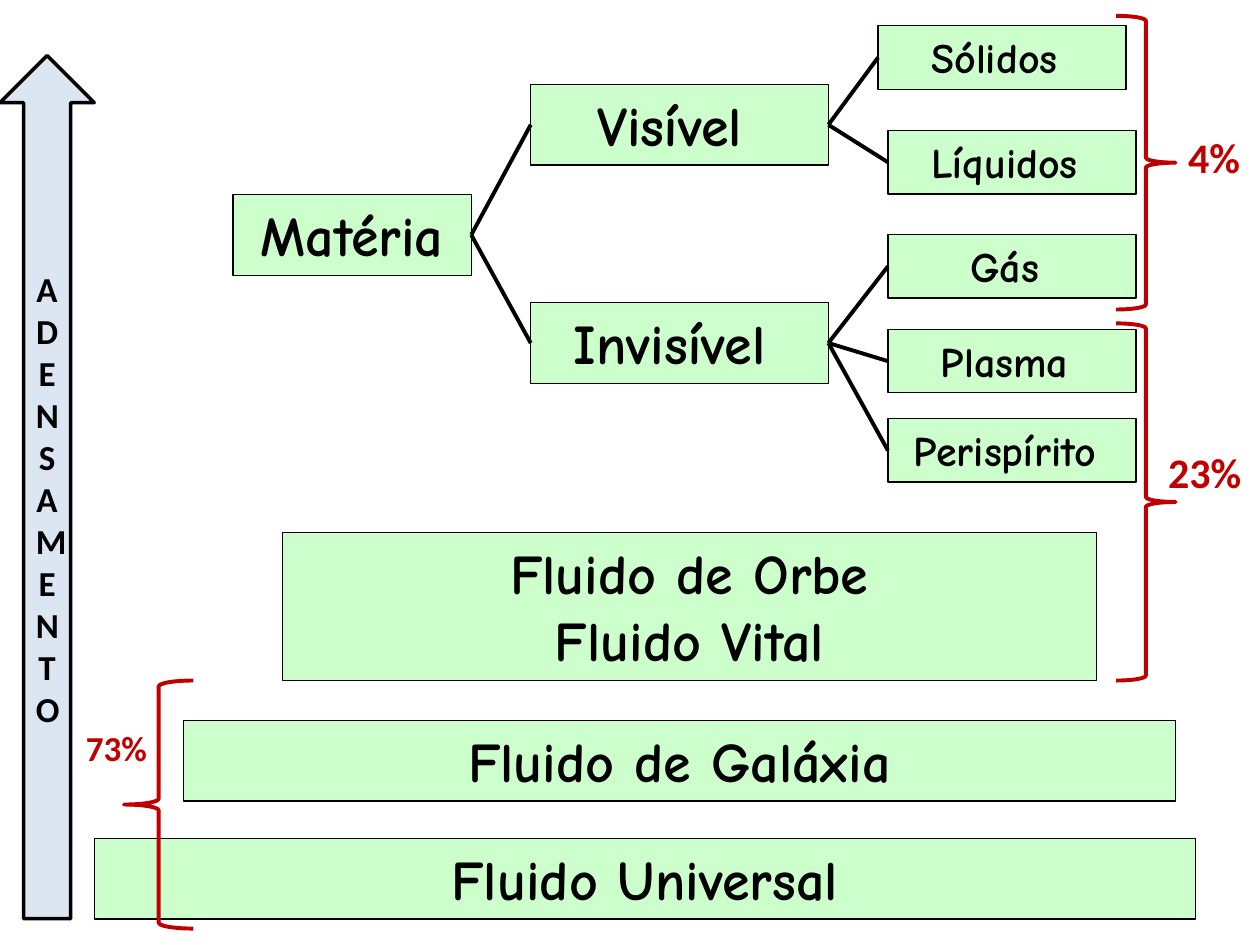
import pptx
import pptx.util
import pptx.dml.color
import pptx.enum.shapes
import pptx.enum.text
import pptx.oxml

Cm, Pt = pptx.util.Cm, pptx.util.Pt
SHAPE = pptx.enum.shapes.MSO_SHAPE
ALIGN = pptx.enum.text.PP_ALIGN
ANCHOR = pptx.enum.text.MSO_ANCHOR

# Content: lengths in centimetres
COLORS = {"box": "CCFFCC", "ink": "000000", "share": "C00000", "arrow": "DCE6F2"}
BAR, LEAF = 1.63, 1.28  # box heights
LAYERS = [  # lines, left, top, width, height
    (["Fluido Universal"], 1.9, 16.9, 22.2, BAR),
    (["Fluido de Galáxia"], 3.7, 14.52, 20, BAR),
    (["Fluido de Orbe", "Fluido Vital"], 5.7, 10.73, 16.4, 2.99),
]
TREE = [  # label, parent, left, top, width, height, text size
    ("Matéria", None, 4.7, 3.92, 4.8, BAR, 32),
    ("Visível ", "Matéria", 10.7, 1.7, 6, BAR, 32),
    ("Invisível ", "Matéria", 10.7, 6.1, 6, BAR, 32),
    ("Sólidos ", "Visível ", 17.7, 0.52, 5, LEAF, 24),
    ("Líquidos ", "Visível ", 17.9, 2.63, 5, LEAF, 24),
    ("Gás ", "Invisível ", 17.9, 4.73, 5, LEAF, 24),
    ("Plasma ", "Invisível ", 17.9, 6.64, 5, LEAF, 24),
    ("Perispírito ", "Invisível ", 17.9, 8.44, 5, LEAF, 24),
]
SHARES = [  # label, size, alignment, label place, brace, brace place
    ("4%", 24, ALIGN.LEFT, (23.7, 2.52, 1.7, 1.28),
     SHAPE.RIGHT_BRACE, (22.5, 0.32, 1.2, 5.92)),
    ("23%", 24, ALIGN.LEFT, (23.3, 8.88, 2.1, 1.85),
     SHAPE.RIGHT_BRACE, (22.5, 6.52, 1.2, 7.2)),
    ("73%", 20, ALIGN.CENTER, (1.3, 14.52, 2.1, 1.12),
     SHAPE.LEFT_BRACE, (2.5, 13.72, 1.4, 5)),
]
ARROW_WORD, ARROW_PLACE = "ADENSAMENTO", (0, 1.12, 1.9, 17.4)


def rgb(name):
    return pptx.dml.color.RGBColor.from_string(COLORS[name])


def set_line(item, color, width):
    item.line.color.rgb = rgb(color)
    item.line.width = Pt(width)


def write(box, lines, size, font="Comic Neue", color="ink",
          align=ALIGN.CENTER, anchor=ANCHOR.TOP):
    frame = box.text_frame
    frame.word_wrap = True
    frame.vertical_anchor = anchor
    for number, line in enumerate(lines):
        para = frame.add_paragraph() if number else frame.paragraphs[0]
        para.alignment = align
        span = para.add_run()
        span.text = line
        for key, value in {"name": font, "size": Pt(size), "bold": True}.items():
            setattr(span.font, key, value)
        span.font.color.rgb = rgb(color)


def add_shape(page, kind, place, fill, line, width):
    shape = page.shapes.add_shape(kind, *map(Cm, place))
    shape.shadow.inherit = False
    if fill:
        shape.fill.solid()
        shape.fill.fore_color.rgb = rgb(fill)
    else:
        shape.fill.background()
    set_line(shape, line, width)
    return shape


def add_box(page, lines, place, size):
    box = add_shape(page, SHAPE.RECTANGLE, place, "box", "ink", 0.75)
    write(box, lines, size)
    return box


def add_branch(page, child, parent):
    branch = page.shapes.add_connector(
        pptx.enum.shapes.MSO_CONNECTOR.STRAIGHT,
        child.left, child.top + child.height // 2,
        parent.left + parent.width, parent.top + parent.height // 2)
    set_line(branch, "ink", 2.25)
    properties = branch.element.spPr
    properties.append(pptx.oxml.parse_xml(
        '<a:effectLst xmlns:a='
        '"http://schemas.openxmlformats.org/drawingml/2006/main"/>'))


def main():
    deck = pptx.Presentation()
    deck.slide_width, deck.slide_height = Cm(25.4), Cm(19.05)
    page = deck.slides.add_slide(deck.slide_layouts[6])

    # Fluid layers
    for lines, *place in LAYERS:
        add_box(page, lines, place, 32)

    # Matter tree
    boxes = {}
    for label, parent, *place, size in TREE:
        boxes[label] = add_box(page, [label], place, size)
        if parent:
            add_branch(page, boxes[label], boxes[parent])

    # Braces with their shares
    for label, size, align, label_place, brace, brace_place in SHARES:
        add_shape(page, brace, brace_place, None, "share", 2.25)
        box = page.shapes.add_textbox(*map(Cm, label_place))
        write(box, [label], size, "Calibri", "share", align)

    # Upward arrow, one letter per line
    arrow = add_shape(page, SHAPE.UP_ARROW, ARROW_PLACE, "arrow", "ink", 2)
    write(arrow, ARROW_WORD, 20, "Calibri", anchor=ANCHOR.MIDDLE)

    deck.save("out.pptx")


if __name__ == "__main__":
    main()
